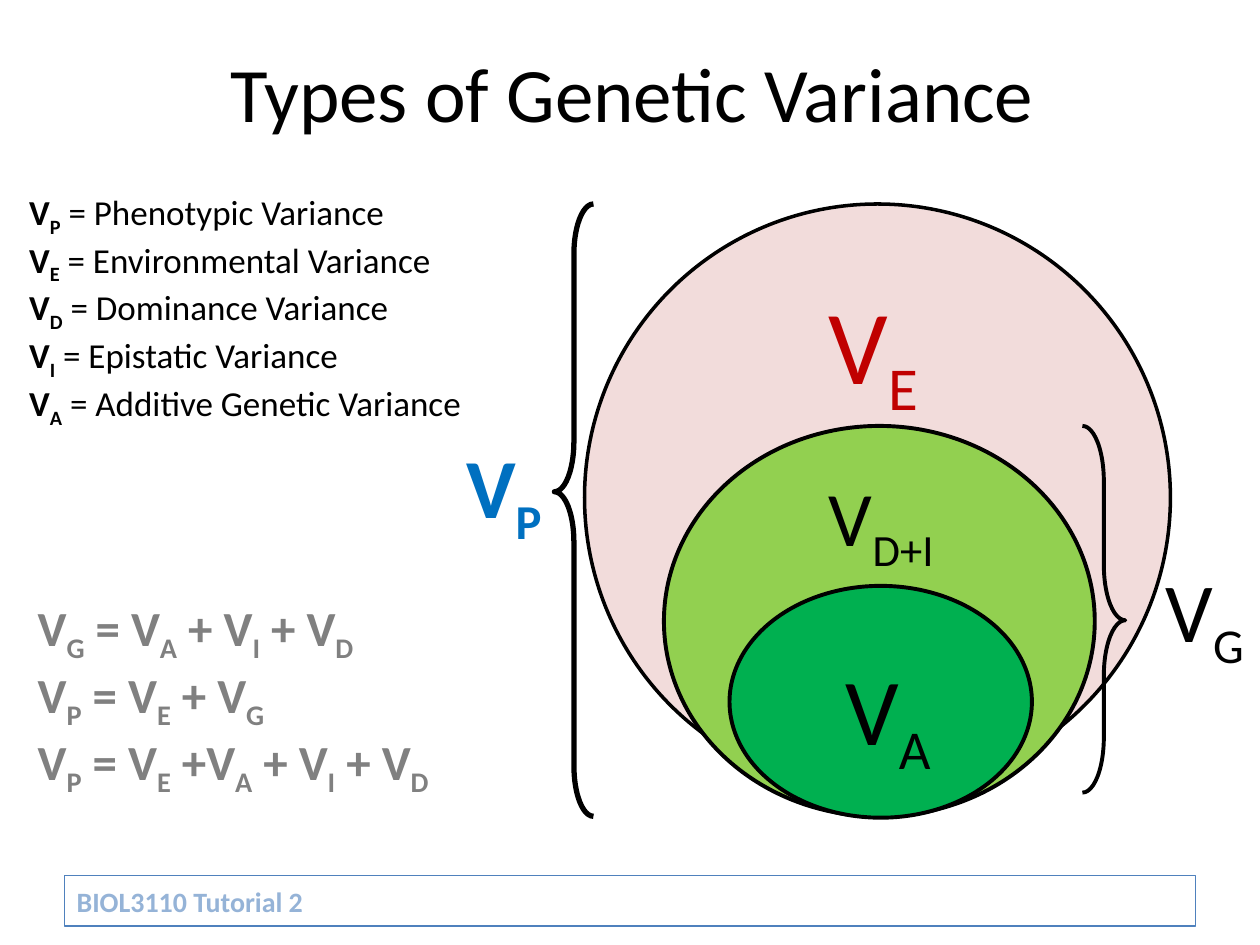
import pptx
import pptx.dml.color
import pptx.enum.shapes
import pptx.enum.text
import pptx.util
from lxml import etree

Pt = pptx.util.Pt
SHAPE = pptx.enum.shapes.MSO_SHAPE
ANCHOR = pptx.enum.text.MSO_ANCHOR
ALIGN = pptx.enum.text.PP_ALIGN
FONT = "Calibri"
BLACK = "000000"

LEGEND = [
    ("P", "Phenotypic"),
    ("E", "Environmental"),
    ("D", "Dominance"),
    ("I", "Epistatic"),
    ("A", "Additive Genetic"),
]
EQUATIONS = [
    "V|G| = V|A| + V|I| + V|D|",
    "V|P| = V|E| + V|G|",
    "V|P| = V|E| +V|A| + V|I| + V|D|",
]
# left, top, width, height, fill, line width
ELLIPSES = [
    (334, 116.6, 334.8, 335.5, "F2DCDB", 2),
    (379.4, 243.4, 246.2, 223.2, "92D050", 2.25),
    (416.9, 334.8, 172.8, 132.5, "00B050", 2.25),
]
# text, box, size, colour
ELLIPSE_LABELS = [
    ("V|E|", (466.6, 156.2, 69, 70.6), 60, "C00000"),
    ("V|D+I|", (466.6, 265, 106, 54), 44, BLACK),
    ("V|A|", (475.9, 368.6, 72.7, 64), 54, BLACK),
]


def rgb(value):
    return pptx.dml.color.RGBColor.from_string(value)


def place(sp, box):
    for name, value in zip(("left", "top", "width", "height"), box):
        setattr(sp, name, Pt(value))


def add_runs(p, markup, size, color=BLACK, bold=False):
    """Write text in which |marks| enclose subscripts."""
    fmt = {"name": FONT, "size": Pt(size), "bold": bold}
    for i, text in enumerate(markup.split("|")):
        if not text:
            continue
        r = p.add_run()
        r.text = text
        for key, value in fmt.items():
            setattr(r.font, key, value)
        r.font.color.rgb = rgb(color)
        if i % 2:
            r._r.get_or_add_rPr().set("baseline", "-25000")


def paragraphs(tf, count):
    return [tf.paragraphs[0]] + [tf.add_paragraph() for _ in range(count - 1)]


def add_text(shapes, lines, box, size, color=BLACK, bold=False, align=ALIGN.LEFT):
    tf = shapes.add_textbox(*map(Pt, box)).text_frame
    tf.word_wrap = True
    for p, line in zip(paragraphs(tf, len(lines)), lines):
        p.alignment = align
        add_runs(p, line, size, color, bold)


def add_outlined(shapes, kind, box, line_width, fill=None, line=BLACK):
    sp = shapes.add_shape(kind, *map(Pt, box))
    sp.shadow.inherit = False
    if fill:
        sp.fill.solid()
        sp.fill.fore_color.rgb = rgb(fill)
    else:
        sp.fill.background()
    sp.line.color.rgb = rgb(line)
    sp.line.width = Pt(line_width)
    return sp


def add_brace(shapes, box, line_width, rotation=0):
    sp = add_outlined(shapes, SHAPE.LEFT_BRACE, box, line_width)
    sp.adjustments[0] = 1.288
    sp.adjustments[1] = 0.47
    sp.rotation = rotation


def fill_title(sp):
    place(sp, (37.4, 7.2, 648, 90))
    tf = sp.text_frame
    tf.vertical_anchor = ANCHOR.MIDDLE
    p = tf.paragraphs[0]
    p.alignment = ALIGN.CENTER
    add_runs(p, "Types of Genetic Variance", 44)


def fill_legend(sp):
    place(sp, (9.4, 105.1, 317.5, 128.2))
    tf = sp.text_frame
    tf.auto_size = pptx.enum.text.MSO_AUTO_SIZE.NONE
    for p, (symbol, meaning) in zip(paragraphs(tf, len(LEGEND)), LEGEND):
        pPr = p._p.get_or_add_pPr()
        pPr.set("marL", "0")
        pPr.set("indent", "0")
        etree.SubElement(pPr, pptx.oxml.ns.qn("a:buNone"))
        p.space_before = Pt(0)
        add_runs(p, f"V|{symbol}|", 20, bold=True)
        add_runs(p, f" = {meaning} Variance", 20)


def add_nested_variances(shapes):
    group = shapes.add_group_shape().shapes
    for *box, fill, line_width in ELLIPSES:
        add_outlined(group, SHAPE.OVAL, box, line_width, fill)
    for text, box, size, color in ELLIPSE_LABELS:
        add_text(group, [text], box, size, color)


def add_footer(shapes):
    box = (36.7, 500.4, 646.6, 28.8)
    sp = add_outlined(shapes, SHAPE.RECTANGLE, box, 0.75, "FFFFFF", "4F81BD")
    tf = sp.text_frame
    tf.vertical_anchor = ANCHOR.MIDDLE
    p = tf.paragraphs[0]
    p.alignment = ALIGN.LEFT
    add_runs(p, "BIOL3110 Tutorial 2", 16, "95B3D7", True)


def main():
    prs = pptx.Presentation()
    prs.slide_width, prs.slide_height = Pt(720), Pt(540)
    s = prs.slides.add_slide(prs.slide_layouts[1])
    shapes = s.shapes
    fill_title(shapes.title)
    fill_legend(s.placeholders[1])
    add_nested_variances(shapes)
    add_brace(shapes, (316.8, 116.6, 22.3, 349.9), 3)
    add_text(shapes, ["V|P|"], (259.2, 244.8, 80.6, 65.5), 48, "0070C0", True)
    add_text(shapes, EQUATIONS, (14.4, 337.7, 380.2, 159.8), 28, "808080", True)
    add_brace(shapes, (618.5, 243.4, 24.5, 209.5), 2.25, 180)
    add_text(shapes, ["V|G|"], (637.2, 315.4, 80.6, 65.5), 48, align=ALIGN.RIGHT)
    add_footer(shapes)
    prs.save("out.pptx")


if __name__ == "__main__":
    main()
